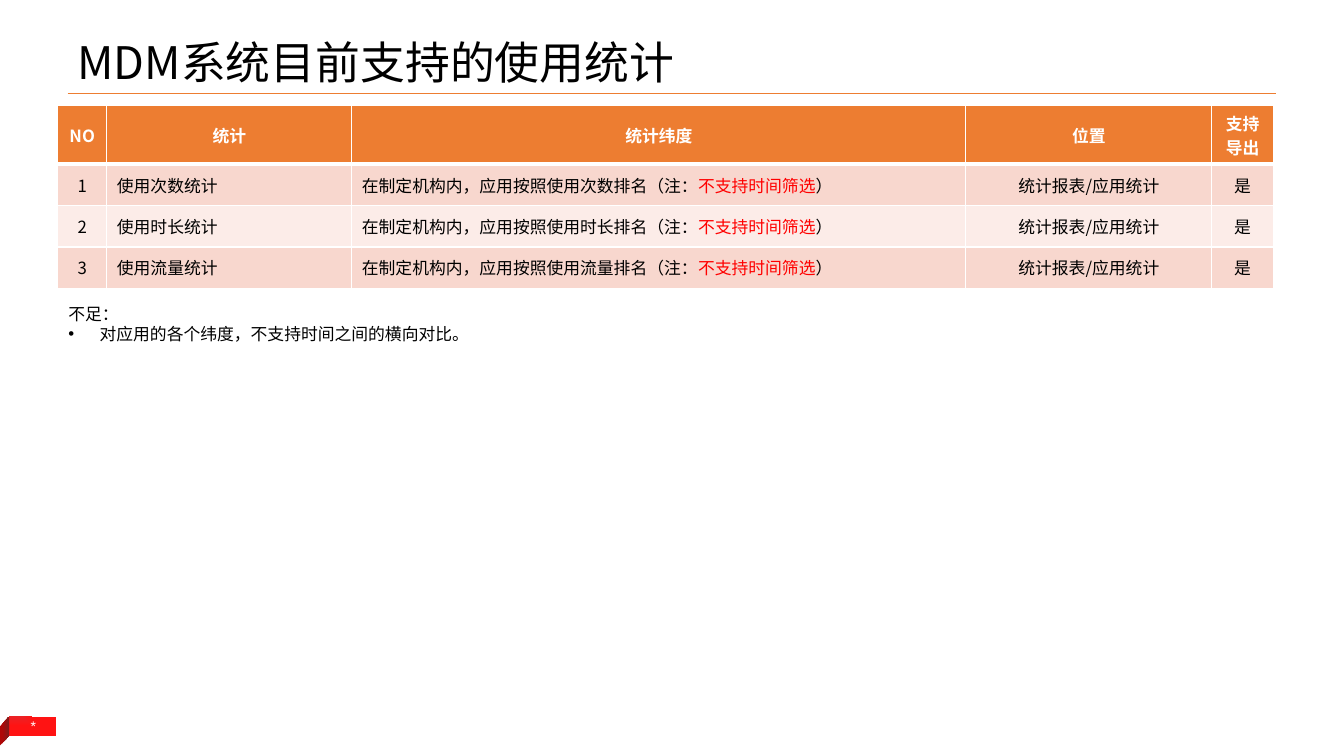
from dataclasses import dataclass
from lxml.etree import SubElement
from pptx import Presentation
from pptx.dml.color import RGBColor
from pptx.enum.shapes import MSO_CONNECTOR, MSO_SHAPE
from pptx.enum.text import MSO_ANCHOR, PP_ALIGN
from pptx.oxml.ns import qn
from pptx.util import Inches, Pt


@dataclass(frozen=True)
class Theme:
    font: str = "Noto Sans CJK SC"
    number_font: str = "Arial"
    title_size: int = 32
    body_size: int = 12
    number_size: int = 10
    text: str = "000000"
    light: str = "FFFFFF"
    accent: str = "ED7D31"
    warning: str = "FF0000"
    bands: tuple = ("F8D7CE", "FCECE8")
    tab: tuple = ((0, "EC2225"), (100, "FF1313"))
    fold: tuple = ((0, "AF0707"), (47, "AF0707"), (100, "7F1B1B"))


def apply(target, values):
    for name, value in values.items():
        setattr(target, name, value)


class SlideBuilder:
    def __init__(self, page, theme):
        self.page = page
        self.theme = theme

    def add_span(self, para, text, size=None, color=None, bold=False, font=None):
        span = para.add_run()
        span.text = text
        name = font or self.theme.font
        apply(span.font, {"name": name, "size": Pt(size or self.theme.body_size), "bold": bold})
        span.font.color.rgb = RGBColor.from_string(color or self.theme.text)
        SubElement(span.font._element, qn("a:ea"), typeface=name)

    def text_box(self, left, top, width, height, **frame_format):
        box = self.page.shapes.add_textbox(*map(Inches, (left, top, width, height)))
        apply(box.text_frame, {"word_wrap": True, **frame_format})
        return box.text_frame

    def bullet(self, para, indent):
        props = para._p.get_or_add_pPr()
        props.set("marL", str(Inches(indent)))
        props.set("indent", str(-Inches(indent)))
        SubElement(props, qn("a:buFont"), typeface="Arial")
        SubElement(props, qn("a:buChar"), char="•")

    def rule(self, left, right, y):
        line = self.page.shapes.add_connector(
            MSO_CONNECTOR.STRAIGHT, Inches(left), Inches(y), Inches(right), Inches(y))
        line.line.color.rgb = RGBColor.from_string(self.theme.accent)
        line.line.width = Pt(0.75)
        SubElement(line._element.spPr, qn("a:effectLst"))

    def gradient(self, shape, stops, from_corner=False):
        shape.shadow.inherit = False
        shape.line.fill.background()
        shape.fill.gradient()
        fill = shape._element.spPr.find(qn("a:gradFill"))
        for child in list(fill):
            fill.remove(child)
        stop_list = SubElement(fill, qn("a:gsLst"))
        for position, color in stops:
            stop = SubElement(stop_list, qn("a:gs"), pos=str(position * 1000))
            SubElement(stop, qn("a:srgbClr"), val=color)
        if from_corner:
            shading = SubElement(fill, qn("a:path"), {"path": "rect"})
            SubElement(shading, qn("a:fillToRect"), r="100000", b="100000")
        else:
            SubElement(fill, qn("a:lin"), ang="0", scaled="0")

    def tab(self, left, top, width, height):
        tab = self.page.shapes.add_shape(
            MSO_SHAPE.RECTANGLE, *map(Inches, (left, top, width, height)))
        tab._element.spPr.find(qn("a:xfrm")).set("flipH", "1")
        self.gradient(tab, self.theme.tab, from_corner=True)

    def fold(self, start, *points):
        outline = self.page.shapes.build_freeform(*map(Inches, start))
        outline.add_line_segments([tuple(map(Inches, point)) for point in points], close=True)
        self.gradient(outline.convert_to_shape(), self.theme.fold)

    def cell(self, cell, spans, fill, align, bold=False, top=1, bottom=1):
        cell.vertical_anchor = MSO_ANCHOR.MIDDLE
        para = cell.text_frame.paragraphs[0]
        para.alignment = align
        for text, color in spans:
            self.add_span(para, text, color=color, bold=bold)
        props = cell._tc.get_or_add_tcPr()
        for side, width in {"L": 1, "R": 1, "T": top, "B": bottom}.items():
            border = SubElement(props, qn(f"a:ln{side}"), w=str(Pt(width)))
            paint = SubElement(border, qn("a:solidFill"))
            SubElement(paint, qn("a:srgbClr"), val=self.theme.light)
        cell.fill.solid()
        cell.fill.fore_color.rgb = RGBColor.from_string(fill)

    def table(self, left, top, widths, heights, headers, rows):
        frame = self.page.shapes.add_table(
            len(heights), len(widths), Inches(left), Inches(top),
            Inches(sum(widths)), Inches(sum(heights)))
        grid = frame.table
        for column, width in zip(grid.columns, widths):
            column.width = Inches(width)
        for row, height in zip(grid.rows, heights):
            row.height = Inches(height)
        for index, header in enumerate(headers):
            self.cell(grid.cell(0, index), [(header, self.theme.light)], self.theme.accent,
                      PP_ALIGN.CENTER, bold=True, bottom=3)
        for number, row in enumerate(rows, 1):
            band = self.theme.bands[(number - 1) % 2]
            for index, spans in enumerate(row):
                align = PP_ALIGN.LEFT if index in (1, 2) else PP_ALIGN.CENTER
                self.cell(grid.cell(number, index), spans, band, align, top=3 if number == 1 else 1)


def main():
    theme = Theme()
    deck = Presentation()
    apply(deck, {"slide_width": Inches(13.33), "slide_height": Inches(7.5)})
    builder = SlideBuilder(deck.slides.add_slide(deck.slide_layouts[6]), theme)

    builder.tab(0.09, 7.11, 0.47, 0.19)
    builder.fold((0.09, 7.11), (-0.04, 7.25), (-0.04, 7.44), (0.09, 7.3))
    number = builder.text_box(
        0.17, 7.05, 0.32, 0.3, word_wrap=False, margin_left=Inches(0.13),
        margin_right=Inches(0.13), margin_top=Inches(0.07), margin_bottom=Inches(0.07))
    number.paragraphs[0].alignment = PP_ALIGN.CENTER
    builder.add_span(number.paragraphs[0], "*", theme.number_size, theme.light,
                     font=theme.number_font)

    builder.rule(0.67, 12.66, 0.93)
    title = builder.text_box(0.67, 0.21, 12, 0.72, vertical_anchor=MSO_ANCHOR.BOTTOM)
    title.paragraphs[0].line_spacing = 0.9
    builder.add_span(title.paragraphs[0], "MDM系统目前支持的使用统计", theme.title_size)

    rows = [
        [
            [(str(index), theme.text)],
            [(f"使用{measure}统计", theme.text)],
            [(f"在制定机构内，应用按照使用{measure}排名（注：", theme.text),
             ("不支持时间筛选", theme.warning), ("）", theme.text)],
            [("统计报表/应用统计", theme.text)],
            [("是", theme.text)],
        ]
        for index, measure in enumerate(("次数", "时长", "流量"), 1)
    ]
    builder.table(0.57, 1.05, [0.49, 2.43, 6.09, 2.44, 0.61], [0.58] + [0.41] * 3,
                  ["NO", "统计", "统计纬度", "位置", "支持导出"], rows)

    notes = builder.text_box(0.58, 2.96, 12.01, 0.5)
    builder.add_span(notes.paragraphs[0], "不足：")
    point = notes.add_paragraph()
    builder.bullet(point, 0.31)
    builder.add_span(point, "对应用的各个纬度，不支持时间之间的横向对比。")

    deck.save("out.pptx")


if __name__ == "__main__":
    main()
